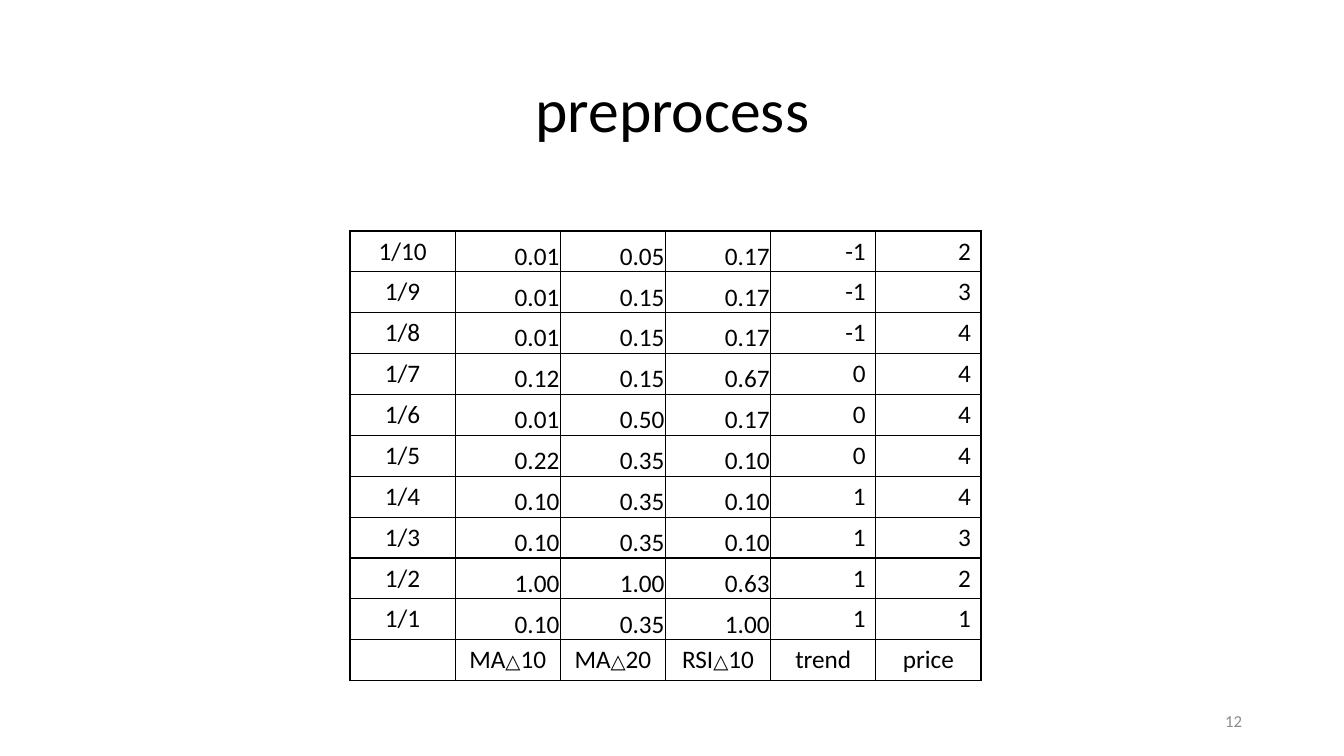
from lxml.etree import SubElement
from pptx import Presentation
from pptx.dml.color import RGBColor
from pptx.enum.text import MSO_ANCHOR as ANCHOR, PP_ALIGN as ALIGN
from pptx.oxml.ns import qn
from pptx.util import Emu, Pt

TITLE = "preprocess"
PAGE = "12"
ROWS = [
    ("1/10", "0.01", "0.05", "0.17", "-1", "2"),
    ("1/9", "0.01", "0.15", "0.17", "-1", "3"),
    ("1/8", "0.01", "0.15", "0.17", "-1", "4"),
    ("1/7", "0.12", "0.15", "0.67", "0", "4"),
    ("1/6", "0.01", "0.50", "0.17", "0", "4"),
    ("1/5", "0.22", "0.35", "0.10", "0", "4"),
    ("1/4", "0.10", "0.35", "0.10", "1", "4"),
    ("1/3", "0.10", "0.35", "0.10", "1", "3"),
    ("1/2", "1.00", "1.00", "0.63", "1", "2"),
    ("1/1", "0.10", "0.35", "1.00", "1", "1"),
    ("", "MA△10", "MA△20", "RSI△10", "trend", "price"),
]
FONT = "Calibri"
BLACK = RGBColor(0, 0, 0)
GRAY = RGBColor(0x8C, 0x8C, 0x8C)
SLIDE_SIZE = 1344, 756
TITLE_BOX = 93, 40, 1159, 146
TABLE_BOX = 350, 231, 631, 450
PAGE_BOX = 950, 701, 302, 40
INDICATORS = range(1, 4)


def px(n):
    return Emu(round(n * 914400 / 100.8))


def add_run(p, text, size, color=BLACK):
    r = p.add_run()
    r.text = text
    r.font.name, r.font.size = FONT, Pt(size)
    r.font.color.rgb = color


def add_borders(cell):
    tc_pr = cell._tc.get_or_add_tcPr()
    for side in ("lnL", "lnR", "lnT", "lnB"):
        ln = SubElement(tc_pr, qn(f"a:{side}"), w=str(Pt(1)))
        fill = SubElement(ln, qn("a:solidFill"))
        SubElement(fill, qn("a:srgbClr"), val=str(BLACK))


def fill_cell(cell, text, col, is_header):
    add_borders(cell)
    cell.fill.background()
    p = cell.text_frame.paragraphs[0]
    p.alignment = ALIGN.CENTER if is_header or col == 0 else ALIGN.RIGHT
    if col in INDICATORS and not is_header:
        cell.vertical_anchor = ANCHOR.BOTTOM
        cell.margin_left = cell.margin_right = cell.margin_top = px(1)
        cell.margin_bottom = 0
    name, delta, period = text.partition("△")
    for part, size in ((name, 18), (delta, 14), (period, 18)):
        if part:
            add_run(p, part, size)


def add_table(s):
    x, y, w, h = map(px, TABLE_BOX)
    table = s.shapes.add_table(len(ROWS), len(ROWS[0]), x, y, w, h).table
    table.first_row = table.horz_banding = False
    for i, values in enumerate(ROWS):
        for j, text in enumerate(values):
            fill_cell(table.cell(i, j), text, j, i == len(ROWS) - 1)


def main():
    """Build the preprocess slide and save it."""
    prs = Presentation()
    prs.slide_width, prs.slide_height = map(px, SLIDE_SIZE)
    s = prs.slides.add_slide(prs.slide_layouts[5])

    title = s.shapes.title
    title.left, title.top, title.width, title.height = map(px, TITLE_BOX)
    title.text_frame.vertical_anchor = ANCHOR.MIDDLE
    p = title.text_frame.paragraphs[0]
    p.alignment, p.line_spacing = ALIGN.CENTER, 0.9
    add_run(p, TITLE, 44)

    add_table(s)

    tf = s.shapes.add_textbox(*map(px, PAGE_BOX)).text_frame
    tf.word_wrap = True
    tf.vertical_anchor = ANCHOR.MIDDLE
    p = tf.paragraphs[0]
    p.alignment = ALIGN.RIGHT
    add_run(p, PAGE, 12, GRAY)

    prs.save("out.pptx")


if __name__ == "__main__":
    main()
